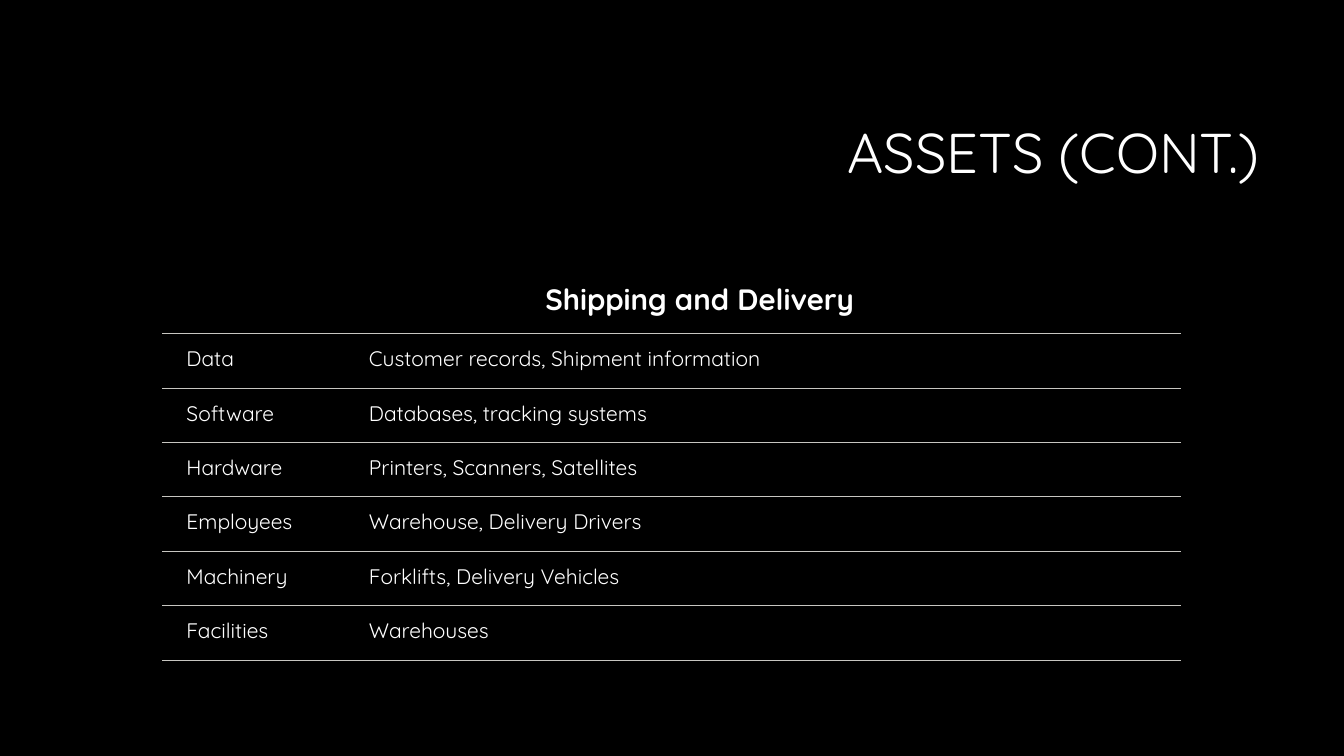
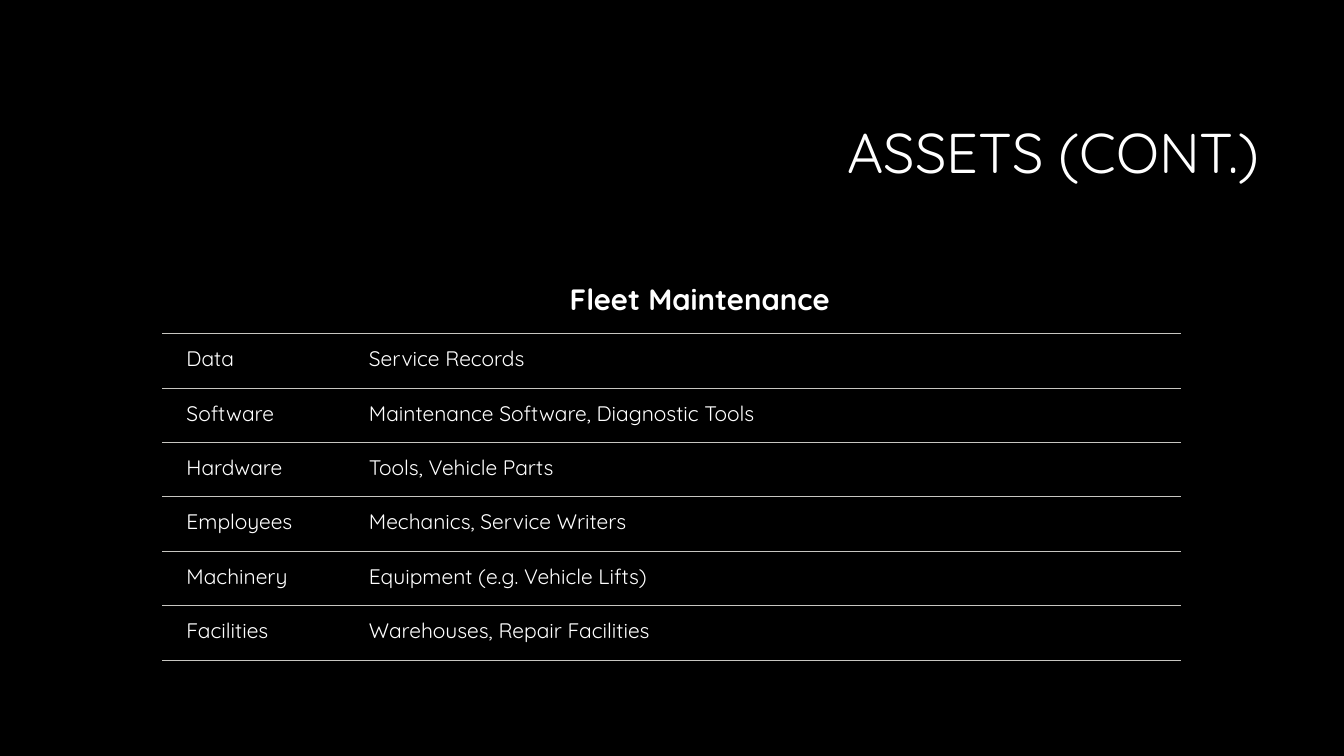
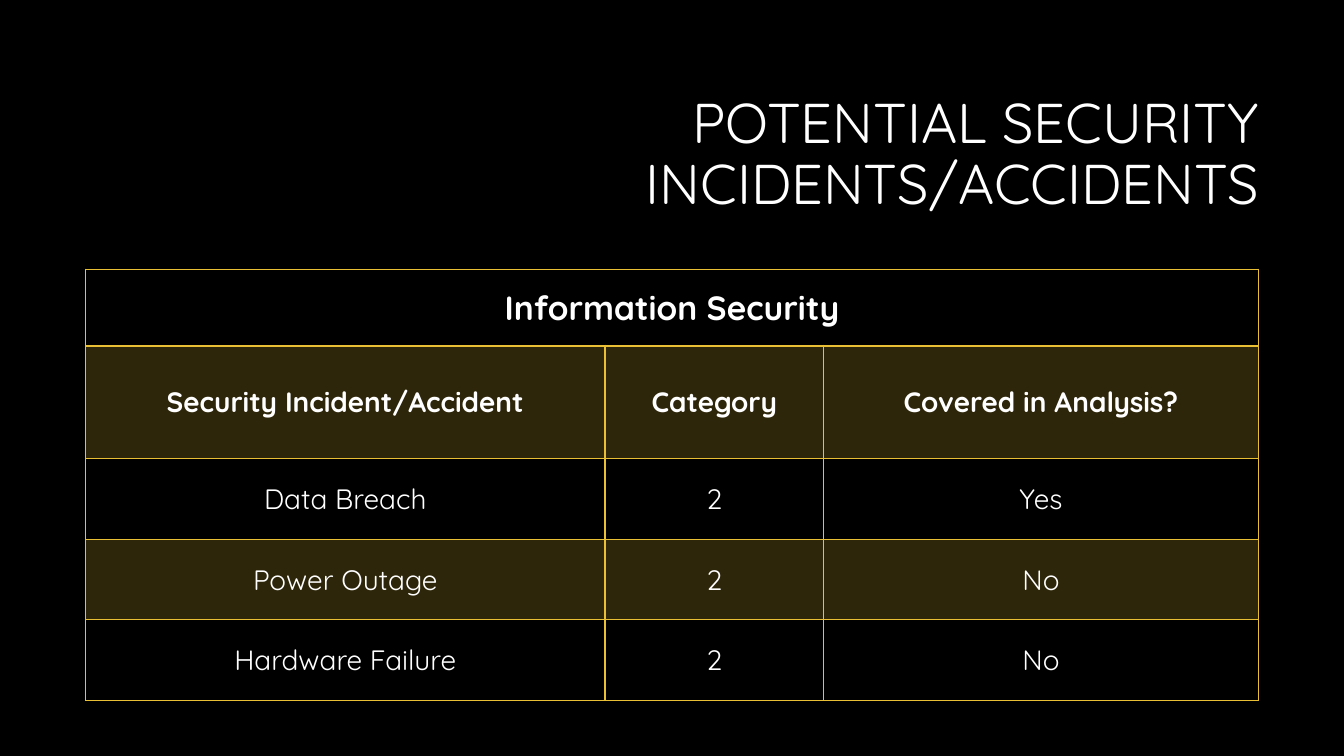
from dataclasses import dataclass

from lxml import etree
from pptx import Presentation
from pptx.dml.color import RGBColor
from pptx.enum.text import MSO_ANCHOR, MSO_AUTO_SIZE, PP_ALIGN
from pptx.oxml.ns import qn
from pptx.util import Inches, Pt

LEFT, CENTER, RIGHT = PP_ALIGN.LEFT, PP_ALIGN.CENTER, PP_ALIGN.RIGHT
TOP, MIDDLE = MSO_ANCHOR.TOP, MSO_ANCHOR.MIDDLE
NO_AUTOFIT = MSO_AUTO_SIZE.NONE
TITLE_ONLY = 5
NO_STYLE_NO_GRID = "{2D5ABB26-0587-4C30-8999-92F81FD0307C}"


@dataclass(frozen=True)
class Theme:
    font: str = "Quicksand"
    background: str = "000000"
    text: str = "FFFFFF"
    rule: str = "C7C6C1"
    gold: str = "E9BF35"
    band_opacity: int = 20
    title_size: int = 40
    asset_heading_size: int = 21
    asset_size: int = 15
    incident_heading_size: int = 24
    incident_size: int = 20


THEME = Theme()

ASSET_KINDS = ["Data", "Software", "Hardware", "Employees", "Machinery", "Facilities"]
ASSETS = {
    "Shipping and Delivery": [
        "Customer records, Shipment information",
        "Databases, tracking systems",
        "Printers, Scanners, Satellites",
        "Warehouse, Delivery Drivers",
        "Forklifts, Delivery Vehicles",
        "Warehouses",
    ],
    "Fleet Maintenance": [
        "Service Records",
        "Maintenance Software, Diagnostic Tools",
        "Tools, Vehicle Parts",
        "Mechanics, Service Writers",
        "Equipment (e.g. Vehicle Lifts)",
        "Warehouses, Repair Facilities",
    ],
}
INCIDENTS = [
    ("Security Incident/Accident", "Category", "Covered in Analysis?"),
    ("Data Breach", "2", "Yes"),
    ("Power Outage", "2", "No"),
    ("Hardware Failure", "2", "No"),
]


def write(frame, text, size, bold=False, align=LEFT, spacing=None, indent=0):
    paragraph = frame.paragraphs[0]
    paragraph.alignment = align
    if spacing:
        paragraph.line_spacing = spacing
    if indent:
        properties = paragraph._p.get_or_add_pPr()
        properties.set("marL", str(Inches(indent)))
        properties.set("indent", "0")
    run = paragraph.add_run()
    run.text = text
    run.font.name = THEME.font
    run.font.size = Pt(size)
    run.font.bold = bold
    run.font.color.rgb = RGBColor.from_string(THEME.text)


def add_titled_slide(prs, title):
    slide = prs.slides.add_slide(prs.slide_layouts[TITLE_ONLY])
    heading = slide.shapes.title
    heading.left, heading.top = Inches(3.17), Inches(0.84)
    heading.width, heading.height = Inches(9.42), Inches(1.41)
    frame = heading.text_frame
    frame.word_wrap = True
    frame.auto_size = NO_AUTOFIT
    frame.vertical_anchor = MIDDLE
    write(frame, title, THEME.title_size, align=RIGHT, spacing=0.9)
    return slide


def add_plain_table(slide, left, top, columns, rows):
    """Add an unstyled table whose first row is one merged heading cell."""
    frame = slide.shapes.add_table(
        len(rows), len(columns), Inches(left), Inches(top),
        Inches(sum(columns)), Inches(sum(rows)))
    table = frame.table
    table.first_row = table.horz_banding = False
    table._tbl.tblPr.find(qn("a:tableStyleId")).text = NO_STYLE_NO_GRID
    for column, width in zip(table.columns, columns):
        column.width = Inches(width)
    for row, height in zip(table.rows, rows):
        row.height = Inches(height)
    table.cell(0, 0).merge(table.cell(0, len(columns) - 1))
    return table


def set_borders(cell, color, **widths):
    """Draw the sides given as L, R, T or B, each with its width in points."""
    properties = cell._tc.get_or_add_tcPr()
    for side in "LRTB":
        if side in widths:
            line = etree.SubElement(properties, qn(f"a:ln{side}"), w=str(Pt(widths[side])))
            fill = etree.SubElement(line, qn("a:solidFill"))
            etree.SubElement(fill, qn("a:srgbClr"), val=color)


def set_fill(cell, color=None, opacity=100):
    if color is None:
        cell.fill.background()
        return
    cell.fill.solid()
    cell.fill.fore_color.rgb = RGBColor.from_string(color)
    shade = cell._tc.tcPr.find(qn("a:solidFill")).find(qn("a:srgbClr"))
    etree.SubElement(shade, qn("a:alpha"), val=str(opacity * 1000))


def set_layout(cell, left, right, vertical, anchor):
    cell.margin_left, cell.margin_right = Inches(left), Inches(right)
    cell.margin_top = cell.margin_bottom = Inches(vertical)
    cell.vertical_anchor = anchor


def fill_heading(cell, text, size, indent=0):
    write(cell.text_frame, text, size, bold=True, align=CENTER, indent=indent)


def add_assets_slide(prs, area, assets):
    slide = add_titled_slide(prs, "ASSETS (CONT.)")
    table = add_plain_table(slide, 1.61, 2.67, [1.81, 8.29], [0.64] + [0.54] * len(assets))
    for cell in table.iter_cells():
        set_layout(cell, 0.24, 0.18, 0.12, TOP)

    heading = table.cell(0, 0)
    fill_heading(heading, area, THEME.asset_heading_size, indent=0.5)
    set_borders(heading, THEME.rule, B=0.75)
    set_fill(heading)

    for r, entry in enumerate(zip(ASSET_KINDS, assets), start=1):
        for c, text in enumerate(entry):
            cell = table.cell(r, c)
            write(cell.text_frame, text, THEME.asset_size)
            set_borders(cell, THEME.rule, T=0.75, B=0.75)
            set_fill(cell)


def add_incidents_slide(prs):
    slide = add_titled_slide(prs, "POTENTIAL SECURITY INCIDENTS/ACCIDENTS")
    table = add_plain_table(slide, 0.85, 2.67, [5.15, 2.17, 4.31], [0.76, 1.12] + [0.8] * 3)
    for cell in table.iter_cells():
        set_layout(cell, 0.16, 0.16, 0.08, MIDDLE)

    heading = table.cell(0, 0)
    fill_heading(heading, "Information Security", THEME.incident_heading_size)
    set_borders(heading, THEME.gold, L=1, R=1, T=1, B=2)
    set_fill(heading)

    for r, entry in enumerate(INCIDENTS, start=1):
        is_header, is_band = r == 1, r % 2 == 1
        for c, text in enumerate(entry):
            cell = table.cell(r, c)
            write(cell.text_frame, text, THEME.incident_size, bold=is_header, align=CENTER)
            set_borders(cell, THEME.gold, L=1, R=1, T=2 if is_header else 1, B=1)
            set_fill(cell, THEME.gold if is_band else None, THEME.band_opacity)


def main():
    prs = Presentation()
    prs.slide_width, prs.slide_height = Inches(13.33), Inches(7.5)
    backdrop = prs.slide_master.background.fill
    backdrop.solid()
    backdrop.fore_color.rgb = RGBColor.from_string(THEME.background)

    for area, assets in ASSETS.items():
        add_assets_slide(prs, area, assets)
    add_incidents_slide(prs)
    prs.save("out.pptx")


if __name__ == "__main__":
    main()
